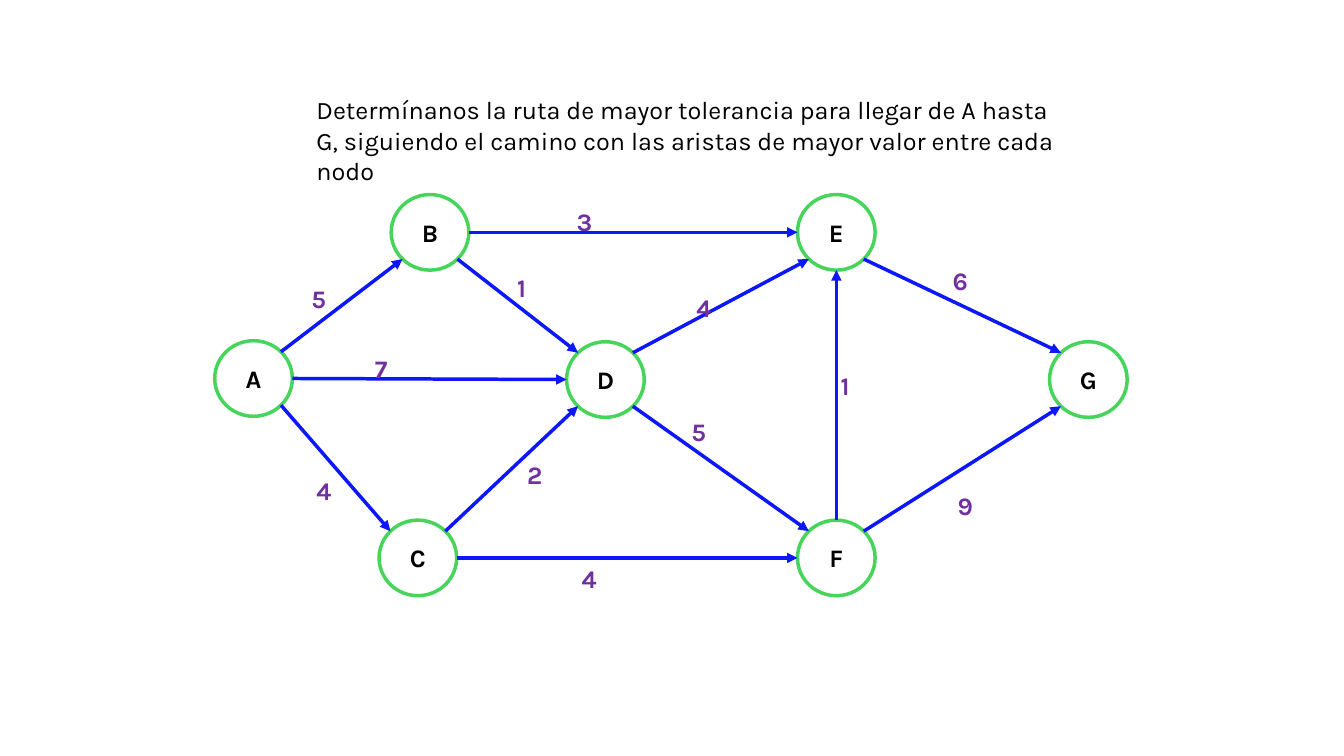
"""Build a slide with a weighted directed graph from A to G."""
from math import cos, radians, sin

from lxml.etree import SubElement
from pptx import Presentation
from pptx.dml.color import RGBColor
from pptx.enum.shapes import MSO_CONNECTOR, MSO_SHAPE
from pptx.enum.text import MSO_ANCHOR, MSO_AUTO_SIZE, PP_ALIGN
from pptx.oxml.ns import qn
from pptx.util import Inches, Pt

BLACK = RGBColor(0x00, 0x00, 0x00)
GREEN = RGBColor(0x47, 0xD4, 0x5A)
BLUE = RGBColor(0x0C, 0x17, 0xFC)
PURPLE = RGBColor(0x70, 0x30, 0xA0)

NODE_WIDTH, NODE_HEIGHT = 0.77, 0.75
SITES = ["top", "top left", "left", "bottom left",
         "bottom", "bottom right", "right", "top right"]


def write_text(shape, text, color=BLACK, bold=True, align=PP_ALIGN.LEFT,
               anchor=MSO_ANCHOR.TOP, wrap=True, auto_size=MSO_AUTO_SIZE.NONE):
    frame = shape.text_frame
    frame.word_wrap = wrap
    frame.auto_size = auto_size
    frame.vertical_anchor = anchor
    paragraph = frame.paragraphs[0]
    paragraph.alignment = align
    run = paragraph.add_run()
    run.text = text
    run.font.name = "Karla"
    run.font.size = Pt(18)
    run.font.bold = bold
    run.font.color.rgb = color


def site_point(node, site):
    angle = radians(90 + 45 * SITES.index(site))
    x = node.left + node.width / 2 * (1 + cos(angle))
    y = node.top + node.height / 2 * (1 - sin(angle))
    return round(x), round(y)


presentation = Presentation()
presentation.slide_width = Inches(13.33)
presentation.slide_height = Inches(7.5)
slide = presentation.slides.add_slide(presentation.slide_layouts[6])

node_positions = {
    "A": (2.13, 3.38), "B": (3.88, 1.93), "C": (3.76, 5.16), "D": (5.62, 3.39),
    "E": (7.91, 1.93), "F": (7.91, 5.16), "G": (10.41, 3.39),
}
nodes = {}
for name, (left, top) in node_positions.items():
    node = slide.shapes.add_shape(MSO_SHAPE.OVAL, Inches(left), Inches(top),
                                  Inches(NODE_WIDTH), Inches(NODE_HEIGHT))
    node.shadow.inherit = False
    node.fill.background()
    node.line.color.rgb = GREEN
    node.line.width = Pt(2.5)
    write_text(node, name, align=PP_ALIGN.CENTER, anchor=MSO_ANCHOR.MIDDLE)
    nodes[name] = node

edges = [
    ("A", "top right", "B", "bottom left", "5", 2.99, 2.76),
    ("A", "right", "D", "left", "7", 3.62, 3.46),
    ("A", "bottom right", "C", "top left", "4", 3.04, 4.67),
    ("B", "right", "E", "left", "3", 5.62, 2.00),
    ("C", "right", "F", "left", "4", 5.67, 5.54),
    ("C", "top right", "D", "bottom left", "2", 5.13, 4.51),
    ("B", "bottom right", "D", "top left", "1", 5.03, 2.65),
    ("D", "top right", "E", "bottom left", "4", 6.81, 2.85),
    ("F", "top right", "G", "bottom left", "9", 9.40, 4.82),
    ("F", "top", "E", "bottom", "1", 8.24, 3.62),
    ("E", "bottom right", "G", "top left", "6", 9.35, 2.58),
    ("D", "bottom right", "F", "top left", "5", 6.76, 4.08),
]
for start, start_site, end, end_site, weight, left, top in edges:
    edge = slide.shapes.add_connector(
        MSO_CONNECTOR.STRAIGHT,
        *site_point(nodes[start], start_site), *site_point(nodes[end], end_site))
    edge.line.color.rgb = BLUE
    edge.line.width = Pt(2.5)
    SubElement(edge.line._get_or_add_ln(), qn("a:tailEnd"), type="triangle")
    SubElement(edge._element.spPr, qn("a:effectLst"))
    links = edge._element.nvCxnSpPr.cNvCxnSpPr
    for tag, name, site in (("a:stCxn", start, start_site), ("a:endCxn", end, end_site)):
        SubElement(links, qn(tag), id=str(nodes[name].shape_id), idx=str(SITES.index(site)))

    label = slide.shapes.add_textbox(Inches(left), Inches(top), Inches(0.34), Inches(0.4))
    write_text(label, weight, color=PURPLE, wrap=False,
               auto_size=MSO_AUTO_SIZE.SHAPE_TO_FIT_TEXT)

statement = slide.shapes.add_textbox(Inches(3.04), Inches(0.89), Inches(7.57), Inches(0.71))
write_text(statement,
           "Determínanos la ruta de mayor tolerancia para llegar de A hasta G, "
           "siguiendo el camino con las aristas de mayor valor entre cada nodo",
           bold=False, auto_size=MSO_AUTO_SIZE.SHAPE_TO_FIT_TEXT)

presentation.save("out.pptx")
